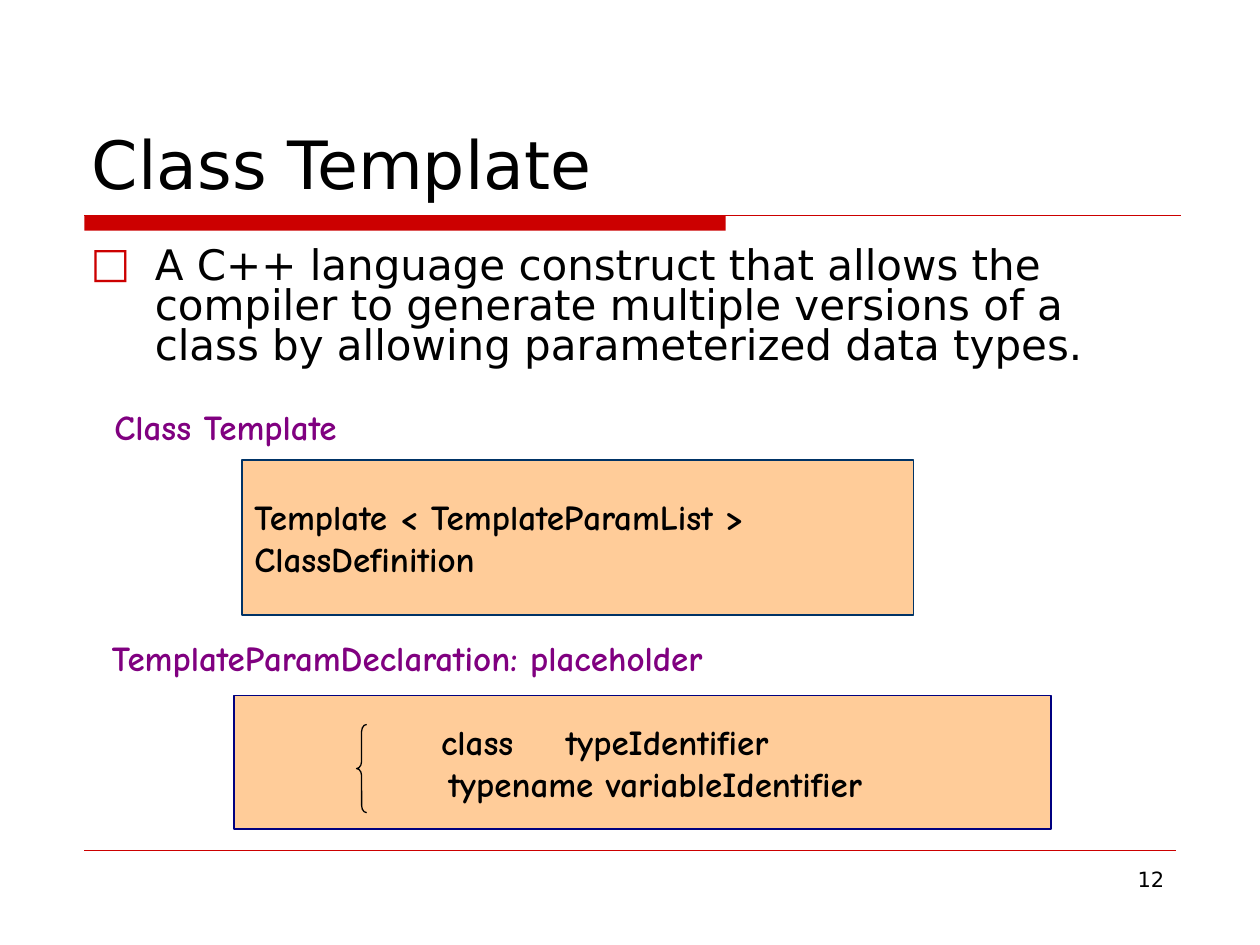
from pptx import Presentation
from pptx.dml.color import RGBColor
from pptx.enum.shapes import MSO_CONNECTOR as Connector, MSO_SHAPE as Preset
from pptx.enum.text import MSO_ANCHOR as Anchor, MSO_AUTO_SIZE as AutoSize, PP_ALIGN as Align
from pptx.oxml.ns import qn
from pptx.util import Inches, Pt
from lxml import etree


def color(code):
    return RGBColor.from_string(code)


def write(frame, text, size=20, font="Comic Neue", ink="000000", bold=False,
          align=Align.LEFT, anchor=Anchor.TOP, wrap=True):
    frame.word_wrap = wrap
    frame.auto_size = AutoSize.NONE
    frame.vertical_anchor = anchor
    for index, line in enumerate(text.split("\n")):
        para = frame.paragraphs[0] if index == 0 else frame.add_paragraph()
        para.alignment = align
        span = para.add_run()
        span.text = line
        span.font.size = Pt(size)
        span.font.name = font
        span.font.bold = bold
        span.font.color.rgb = color(ink)
    return frame


def place(shape, left, top, width, height):
    shape.left, shape.top = Inches(left), Inches(top)
    shape.width, shape.height = Inches(width), Inches(height)


class SlideBuilder:
    body_font = "DejaVu Sans"
    accent = "CC0000"
    label_ink = "800080"
    panel_fill = "FFCC99"

    def __init__(self, deck):
        self.page = deck.slides.add_slide(deck.slide_layouts[5])

    def title(self, text, *area):
        box = self.page.shapes.title
        place(box, *area)
        write(box.text_frame, text, size=38, font=self.body_font, anchor=Anchor.BOTTOM)

    def text(self, text, *area, **style):
        box = self.page.shapes.add_textbox(*map(Inches, area))
        return write(box.text_frame, text, **style)

    def label(self, text, *area):
        self.text(text, *area, ink=self.label_ink, bold=True)

    def bullet(self, text, *area):
        frame = self.text(text, *area, size=24, font=self.body_font)
        para = frame.paragraphs[0]
        para.line_spacing = 0.8
        props = para._p.get_or_add_pPr()
        props.set("marL", str(Inches(0.51)))
        props.set("indent", str(Inches(-0.51)))
        tint = etree.SubElement(props, qn("a:buClr"))
        etree.SubElement(tint, qn("a:srgbClr"), val=self.accent)
        etree.SubElement(props, qn("a:buFont"), typeface=self.body_font)
        etree.SubElement(props, qn("a:buChar"), char="□")

    def shape(self, preset, *area, fill=None, line=None, weight=1):
        shape = self.page.shapes.add_shape(preset, *map(Inches, area))
        shape.shadow.inherit = False
        if fill:
            shape.fill.solid()
            shape.fill.fore_color.rgb = color(fill)
        else:
            shape.fill.background()
        if line:
            shape.line.color.rgb = color(line)
            shape.line.width = Pt(weight)
        else:
            shape.line.fill.background()
        return shape

    def panel(self, text, *area, line, wrap=False):
        panel = self.shape(Preset.RECTANGLE, *area, fill=self.panel_fill, line=line)
        return write(panel.text_frame, text, bold=True, anchor=Anchor.MIDDLE, wrap=wrap)

    def rule(self, left, right, top, weight):
        line = self.page.shapes.add_connector(
            Connector.STRAIGHT, Inches(left), Inches(top), Inches(right), Inches(top))
        line.line.color.rgb = color(self.accent)
        line.line.width = Pt(weight)
        etree.SubElement(line._element.spPr, qn("a:effectLst"))


def indent_terms(frame):
    frame.margin_left = Inches(1.64)
    first, second = frame.paragraphs
    props = first._p.get_or_add_pPr()
    tabs = etree.SubElement(props, qn("a:tabLst"))
    etree.SubElement(tabs, qn("a:tab"), pos=str(Inches(0.99)), algn="l")
    second._p.get_or_add_pPr().set("marL", str(Inches(0.06)))


def main():
    deck = Presentation()
    deck.slide_width, deck.slide_height = Inches(10), Inches(7.5)
    slide = SlideBuilder(deck)

    slide.shape(Preset.RECTANGLE, 0.67, 1.71, 5.09, 0.12, fill=slide.accent)
    slide.rule(0.67, 9.37, 1.71, 0.75)
    slide.rule(0.67, 9.33, 6.75, 0.25)
    slide.text("12", 7.17, 6.83, 2.17, 0.52, size=12, font=slide.body_font, align=Align.RIGHT)

    slide.title("Class Template", 0.63, 0.33, 8.75, 1.33)
    slide.bullet("A C++ language construct that allows the compiler to generate multiple "
                 "versions of a class by allowing parameterized data types.",
                 0.62, 1.92, 8.75, 1.17)

    slide.panel("Template < TemplateParamList >\nClassDefinition",
                1.92, 3.65, 5.33, 1.23, line="003366")
    slide.label("Class Template", 0.81, 3.17, 7.46, 0.44)
    slide.label("TemplateParamDeclaration: placeholder", 0.79, 5, 6.85, 0.44)

    terms = slide.panel("class\ttypeIdentifier\ntypename variableIdentifier",
                        1.86, 5.52, 6.48, 1.06, line="000080", wrap=True)
    indent_terms(terms)
    brace = slide.shape(Preset.LEFT_BRACE, 2.83, 5.75, 0.08, 0.7, line="000000", weight=0.75)
    brace.adjustments[0] = 0.7

    deck.save("out.pptx")


if __name__ == "__main__":
    main()
